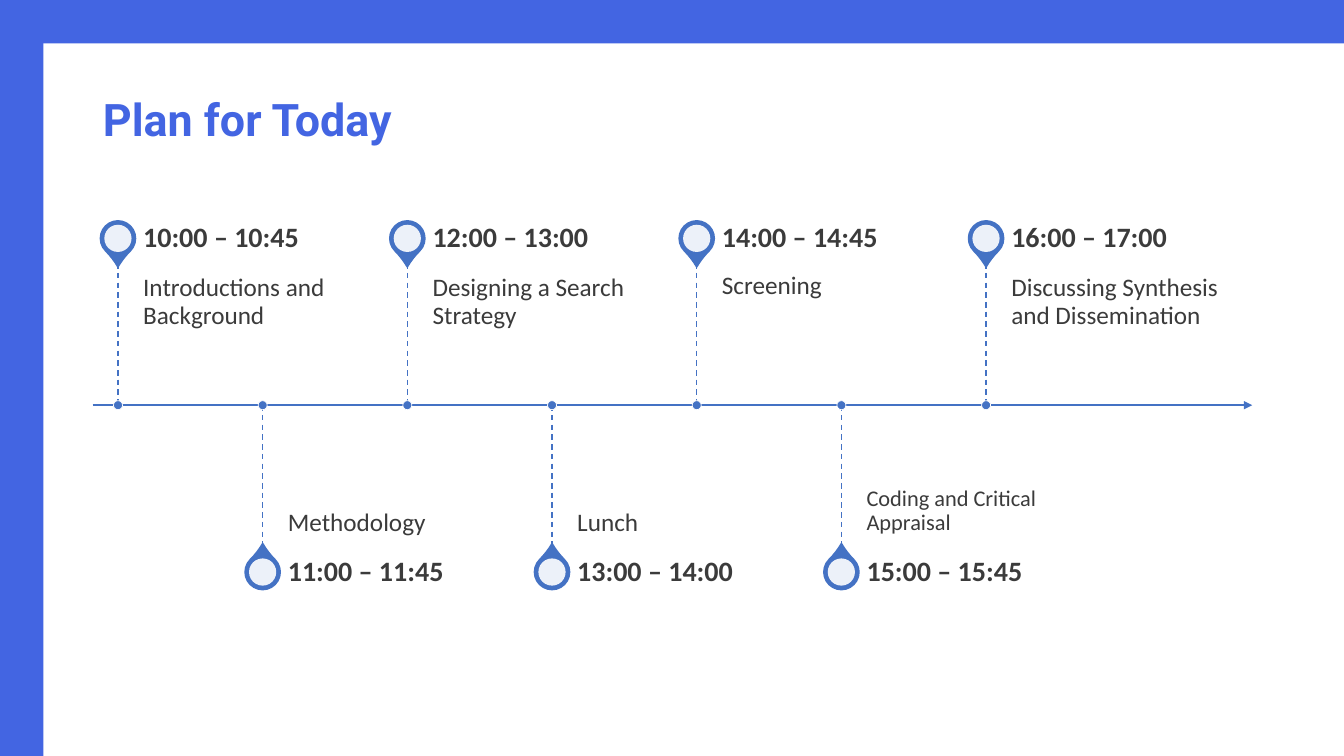
"""Build the "Plan for Today" timeline slide."""
from lxml import etree
from pptx import Presentation
from pptx.dml.color import RGBColor
from pptx.enum.dml import MSO_LINE
from pptx.enum.shapes import MSO_CONNECTOR, MSO_SHAPE
from pptx.enum.text import MSO_ANCHOR, MSO_AUTO_SIZE, PP_ALIGN
from pptx.oxml.ns import qn
from pptx.util import Inches, Pt

COLORS = {"frame": "4365E2", "accent": "4472C4", "text": "3B3B3B", "white": "FFFFFF"}
SESSIONS = [
    ("10:00 – 10:45", "Introductions and Background", 18),
    ("11:00 – 11:45", "Methodology", 18),
    ("12:00 – 13:00", "Designing a Search Strategy", 18),
    ("13:00 – 14:00", "Lunch", 18),
    ("14:00 – 14:45", "Screening", 18),
    ("15:00 – 15:45", "Coding and Critical Appraisal", 16),
    ("16:00 – 17:00", "Discussing Synthesis and Dissemination", 18),
]
AXIS_Y, FIRST_X, STEP = 4.02, 1.17, 1.435
STEM, PIN_OFFSET = 1.41, 1.655
PIN, HOLE, DOT = 0.35, 0.27, 0.09
LABEL_WIDTH, TIME_HEIGHT = 2.39, 0.49

presentation = Presentation()
presentation.slide_width, presentation.slide_height = Inches(13.33), Inches(7.5)
slide = presentation.slides.add_slide(presentation.slide_layouts[5])
shapes = slide.shapes


def add_filled(kind, left, top, width, height, fill, line=None, line_width=1):
    shape = shapes.add_shape(kind, Inches(left), Inches(top), Inches(width), Inches(height))
    shape.shadow.inherit = False
    shape.fill.solid()
    shape.fill.fore_color.rgb = RGBColor.from_string(COLORS[fill])
    if line:
        shape.line.color.rgb = RGBColor.from_string(COLORS[line])
        shape.line.width = Pt(line_width)
    else:
        shape.line.fill.background()
    return shape


def add_line(x1, y1, x2, y2, width):
    line = shapes.add_connector(
        MSO_CONNECTOR.STRAIGHT, Inches(x1), Inches(y1), Inches(x2), Inches(y2))
    line.line.color.rgb = RGBColor.from_string(COLORS["accent"])
    line.line.width = Pt(width)
    etree.SubElement(line._element.spPr, qn("a:effectLst"))
    return line


add_filled(MSO_SHAPE.RECTANGLE, 0, 0, 0.43, 7.5, "frame")
add_filled(MSO_SHAPE.RECTANGLE, 0, 0, 13.33, 0.43, "frame")

title = shapes.title
title.left, title.top, title.width, title.height = (
    Inches(value) for value in (0.92, 0.85, 11.5, 0.73))
title.text_frame.text = "Plan for Today"
title.text_frame.auto_size = MSO_AUTO_SIZE.NONE
title.text_frame.vertical_anchor = MSO_ANCHOR.MIDDLE
paragraph = title.text_frame.paragraphs[0]
paragraph.alignment = PP_ALIGN.LEFT
paragraph.line_spacing = 0.9
font = paragraph.runs[0].font
font.name, font.size, font.bold = "Roboto", Pt(32), True
font.color.rgb = RGBColor.from_string(COLORS["frame"])

axis = add_line(0.92, AXIS_Y, 12.42, AXIS_Y, 1.5)
etree.SubElement(axis.line._get_or_add_ln(), qn("a:tailEnd"), type="triangle")

for index, (time, topic, topic_size) in enumerate(SESSIONS):
    x = FIRST_X + index * STEP
    above = index % 2 == 0
    direction = -1 if above else 1
    stem_end = AXIS_Y + direction * STEM
    pin_y = AXIS_Y + direction * PIN_OFFSET

    pin = add_filled(MSO_SHAPE.TEAR, x - PIN / 2, pin_y - PIN / 2, PIN, PIN, "accent", "accent")
    pin.adjustments[0] = 1.15
    pin.rotation = 135 if above else 315
    hole = add_filled(MSO_SHAPE.OVAL, x - HOLE / 2, pin_y - HOLE / 2, HOLE, HOLE, "white")
    white = hole._element.spPr.find(qn("a:solidFill")).find(qn("a:srgbClr"))
    etree.SubElement(white, qn("a:alpha"), val="90000")

    topic_top = stem_end if above else AXIS_Y
    time_top = stem_end - TIME_HEIGHT if above else stem_end
    topic_anchor = MSO_ANCHOR.TOP if above else MSO_ANCHOR.BOTTOM
    topic_insets = (0.12, 0.12, 0.19) if above else (0, 0.19, 0.12)
    labels = [
        (topic, topic_top, STEM, topic_anchor, topic_insets, topic_size, False),
        (time, time_top, TIME_HEIGHT, MSO_ANCHOR.MIDDLE, (0.14, 0, 0), 20, True),
    ]
    for text, top, height, anchor, (right, upper, lower), size, bold in labels:
        label = shapes.add_textbox(
            Inches(x + 0.25), Inches(top), Inches(LABEL_WIDTH), Inches(height))
        frame = label.text_frame
        frame.word_wrap = True
        frame.vertical_anchor = anchor
        frame.margin_left, frame.margin_right = 0, Inches(right)
        frame.margin_top, frame.margin_bottom = Inches(upper), Inches(lower)
        frame.text = text
        paragraph = frame.paragraphs[0]
        paragraph.line_spacing = 0.9
        font = paragraph.runs[0].font
        font.name, font.size, font.bold = "Calibri", Pt(size), bold
        font.color.rgb = RGBColor.from_string(COLORS["text"])

    stem = add_line(x, min(AXIS_Y, stem_end), x, max(AXIS_Y, stem_end), 1)
    stem.line.dash_style = MSO_LINE.DASH
    add_filled(MSO_SHAPE.OVAL, x - DOT / 2, AXIS_Y - DOT / 2, DOT, DOT, "accent", "white", 0.5)

presentation.save("out.pptx")
